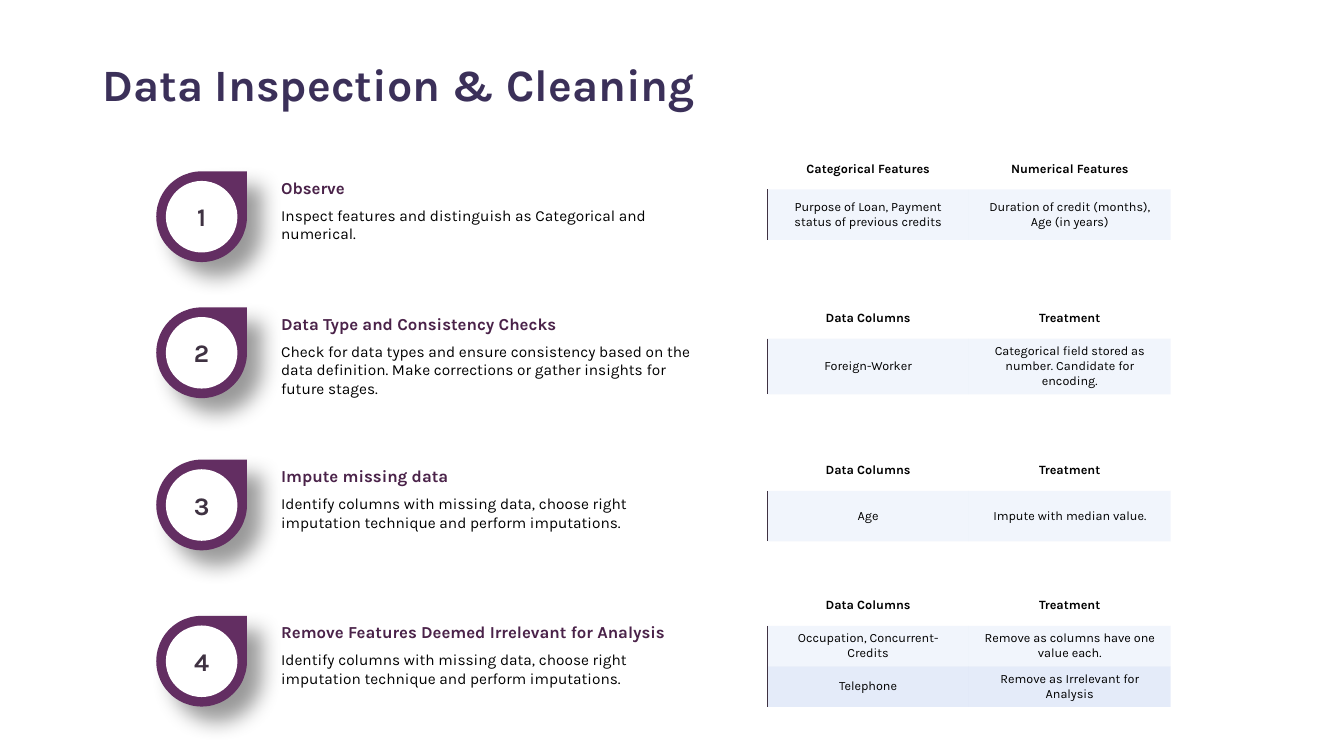
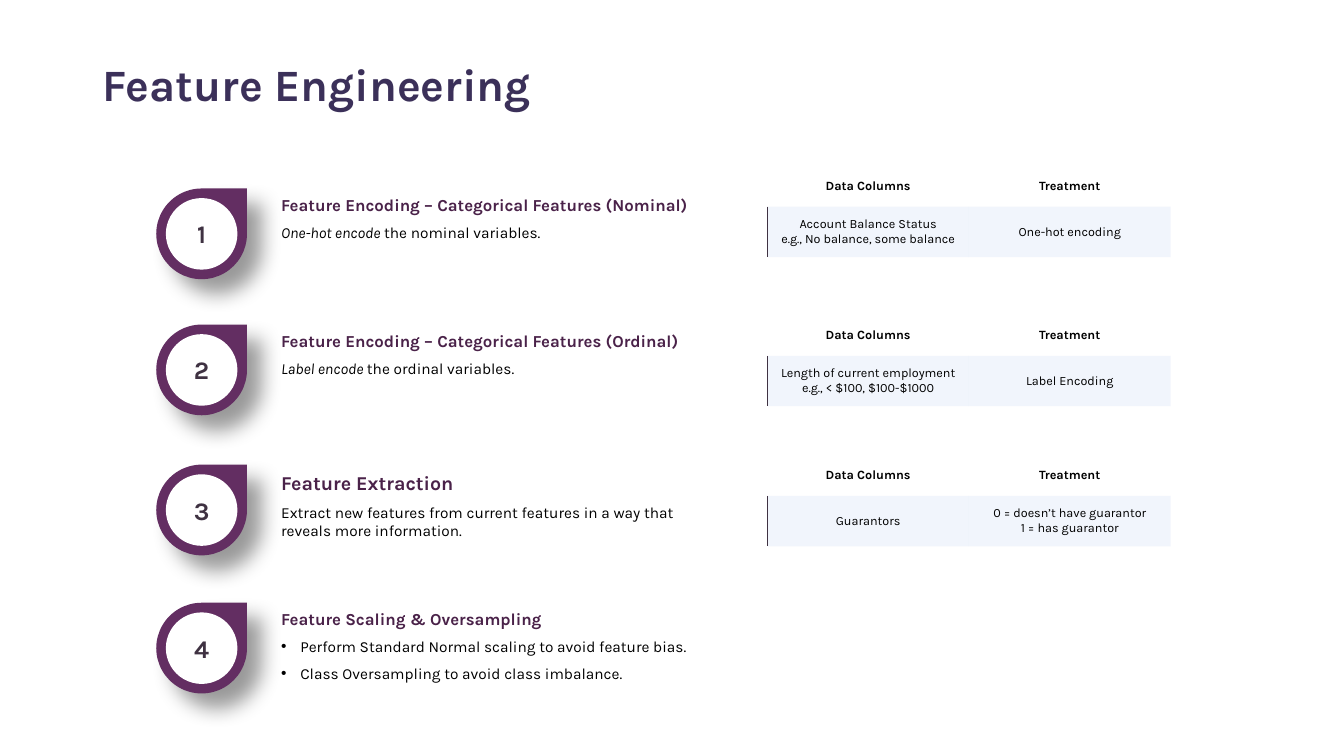
from dataclasses import dataclass

from lxml.etree import SubElement
from pptx import Presentation
from pptx.dml.color import RGBColor
from pptx.enum.shapes import MSO_SHAPE
from pptx.enum.text import MSO_ANCHOR, PP_ALIGN
from pptx.oxml.ns import qn
from pptx.util import Emu, Inches, Pt

FONT = "Karla"
TITLE = "3B3059"
PURPLE = "632E62"
HEADING = "4A2249"
DARK = "3F3242"
BLACK = "000000"
WHITE = "FFFFFF"
BANDS = ["DEE6F8", "BDCDF1"]
PLAIN_TABLE = "{2D5ABB26-0587-4C30-8999-92F81FD0307C}"
TREATMENT = ("Data Columns", "Treatment")

PIN_LEFT, PIN_SIZE, DISC_SIZE = 1.55, 0.9, 0.71
TEXT_LEFT, TEXT_WIDTH, TEXT_HEIGHT = 2.69, 4.44, 0.88
TABLE_LEFT, COLUMN_WIDTH, HEADER_HEIGHT = 7.61, 2, 0.4


@dataclass
class Step:
    top: float
    heading: str
    body: str = ""
    lead: str = ""
    bullets: tuple = ()
    heading_size: int = 12
    table_top: float = 0
    rows: tuple = ()
    row_height: float = 0.5


def colour(code):
    return RGBColor.from_string(code)


def style(font, size, code, bold=False):
    font.name = FONT
    font.size = Pt(size)
    font.bold = bold
    font.color.rgb = colour(code)


def add_title(page, text):
    box = page.shapes.add_textbox(Inches(0.92), Inches(0.4), Inches(11.5), Inches(0.93))
    frame = box.text_frame
    frame.word_wrap = True
    frame.vertical_anchor = MSO_ANCHOR.MIDDLE
    frame.text = text
    para = frame.paragraphs[0]
    para.line_spacing = 0.9
    style(para.runs[0].font, 32, TITLE, True)


def add_shadow(shape):
    effects = shape.element.spPr.find(qn("a:effectLst"))
    shadow = SubElement(effects, qn("a:outerShdw"), blurRad=str(Pt(15)), dist=str(Pt(15)),
                        dir=str(45 * 60000), algn="tl", rotWithShape="0")
    tint = SubElement(shadow, qn("a:srgbClr"), val=BLACK)
    SubElement(tint, qn("a:alpha"), val="40000")


def add_solid_shape(page, kind, left, top, size, code):
    shape = page.shapes.add_shape(kind, Inches(left), Inches(top), Inches(size), Inches(size))
    shape.shadow.inherit = False
    shape.fill.solid()
    shape.fill.fore_color.rgb = colour(code)
    shape.line.fill.background()
    return shape


def add_pin(page, left, top, number):
    pin = add_solid_shape(page, MSO_SHAPE.TEAR, left, top, PIN_SIZE, PURPLE)
    add_shadow(pin)
    gap = (PIN_SIZE - DISC_SIZE) / 2
    disc = add_solid_shape(page, MSO_SHAPE.OVAL, left + gap, top + gap, DISC_SIZE, WHITE)
    frame = disc.text_frame
    frame.vertical_anchor = MSO_ANCHOR.MIDDLE
    frame.text = str(number)
    frame.paragraphs[0].alignment = PP_ALIGN.CENTER
    style(frame.paragraphs[0].runs[0].font, 18, DARK, True)


def add_bullet(para):
    indent = Inches(0.19)
    properties = para._p.get_or_add_pPr()
    properties.set("marL", str(indent))
    properties.set("indent", str(-indent))
    SubElement(properties, qn("a:buFont"), typeface="Arial")
    SubElement(properties, qn("a:buChar"), char="•")


def add_description(page, left, top, step):
    box = page.shapes.add_textbox(Inches(left), Inches(top), Inches(TEXT_WIDTH), Inches(TEXT_HEIGHT))
    frame = box.text_frame
    frame.word_wrap = True
    frame.text = step.heading
    heading = frame.paragraphs[0]
    heading.space_after = Pt(6)
    style(heading.runs[0].font, step.heading_size, HEADING, True)
    for text in step.bullets or (step.body,):
        para = frame.add_paragraph()
        if step.bullets:
            add_bullet(para)
        para.space_after = Pt(6)
        for part, italic in ((step.lead, True), (text, False)):
            if part:
                span = para.add_run()
                span.text = part
                style(span.font, 11, BLACK)
                span.font.italic = italic


def fill_cell(cell, text, bold):
    cell.vertical_anchor = MSO_ANCHOR.MIDDLE
    cell.text_frame.text = text
    for para in cell.text_frame.paragraphs:
        para.alignment = PP_ALIGN.CENTER
        for span in para.runs:
            style(span.font, 9, BLACK, bold)


def tint_cell(cell, code):
    cell.fill.solid()
    cell.fill.fore_color.rgb = colour(code)
    tint = cell._tc.tcPr.find(qn("a:solidFill")).find(qn("a:srgbClr"))
    SubElement(tint, qn("a:alpha"), val="40000")


def add_left_border(cell):
    properties = cell._tc.get_or_add_tcPr()
    border = SubElement(properties, qn("a:lnL"), w=str(Pt(1)))
    fill = SubElement(border, qn("a:solidFill"))
    SubElement(fill, qn("a:srgbClr"), val=DARK)
    properties.insert(0, border)


def add_feature_table(page, left, top, rows, row_height):
    height = HEADER_HEIGHT + row_height * (len(rows) - 1)
    graphic = page.shapes.add_table(len(rows), 2, Inches(left), Inches(top),
                                    Inches(2 * COLUMN_WIDTH), Inches(height))
    graphic.element.find(".//" + qn("a:tableStyleId")).text = PLAIN_TABLE
    table = graphic.table
    table.horz_banding = False
    for column in table.columns:
        column.width = Inches(COLUMN_WIDTH)
    for index, texts in enumerate(rows):
        table.rows[index].height = Inches(row_height if index else HEADER_HEIGHT)
        for column, text in enumerate(texts):
            cell = table.cell(index, column)
            fill_cell(cell, text, index == 0)
            if index:
                tint_cell(cell, BANDS[(index - 1) % 2])
                if column == 0:
                    add_left_border(cell)
            else:
                cell.fill.background()


def add_step(page, number, step):
    add_pin(page, PIN_LEFT, step.top, number)
    add_description(page, TEXT_LEFT, step.top + 0.01, step)
    if step.rows:
        add_feature_table(page, TABLE_LEFT, step.table_top, step.rows, step.row_height)


def add_steps_page(deck, title, steps):
    page = deck.slides.add_slide(deck.slide_layouts[6])
    add_title(page, title)
    for number, step in enumerate(steps, 1):
        add_step(page, number, step)


IMPUTE = ("Identify columns with missing data, choose right imputation technique "
          "and perform imputations.")

CLEANING = [
    Step(1.7, "Observe", "Inspect features and distinguish as Categorical and numerical.",
         table_top=1.48,
         rows=(("Categorical Features", "Numerical Features"),
               ("Purpose of Loan, Payment status of previous credits",
                "Duration of credit (months), Age (in years)"))),
    Step(3.05, "Data Type and Consistency Checks",
         "Check for data types and ensure consistency based on the data definition. "
         "Make corrections or gather insights for future stages.",
         table_top=2.96,
         rows=(TREATMENT,
               ("Foreign-Worker", "Categorical field stored as number. Candidate for encoding."))),
    Step(4.56, "Impute missing data", IMPUTE, table_top=4.47,
         rows=(TREATMENT, ("Age", "Impute with median value."))),
    Step(6.11, "Remove Features Deemed Irrelevant for Analysis", IMPUTE,
         table_top=5.81, row_height=0.4,
         rows=(TREATMENT,
               ("Occupation, Concurrent-Credits", "Remove as columns have one value each."),
               ("Telephone", "Remove as Irrelevant for Analysis"))),
]

ENGINEERING = [
    Step(1.87, "Feature Encoding – Categorical Features (Nominal)",
         "the nominal variables.", lead="One-hot encode ", table_top=1.65,
         rows=(TREATMENT,
               ("Account Balance Status\ne.g., No balance, some balance", "One-hot encoding"))),
    Step(3.22, "Feature Encoding – Categorical Features (Ordinal)",
         "the ordinal variables.", lead="Label encode ", table_top=3.13,
         rows=(TREATMENT,
               ("Length of current employment\ne.g., < $100, $100-$1000", "Label Encoding"))),
    Step(4.61, "Feature Extraction",
         "Extract new features from current features in a way that reveals more information.",
         heading_size=14, table_top=4.52,
         rows=(TREATMENT,
               ("Guarantors", "0 = doesn’t have guarantor\n1 = has guarantor"))),
    Step(5.98, "Feature Scaling & Oversampling",
         bullets=("Perform Standard Normal scaling to avoid feature bias.",
                  "Class Oversampling to avoid class imbalance.")),
]


def main():
    deck = Presentation()
    deck.slide_width = Inches(13.33)
    deck.slide_height = Inches(7.5)
    add_steps_page(deck, "Data Inspection & Cleaning", CLEANING)
    add_steps_page(deck, "Feature Engineering", ENGINEERING)
    deck.save("out.pptx")


if __name__ == "__main__":
    main()
